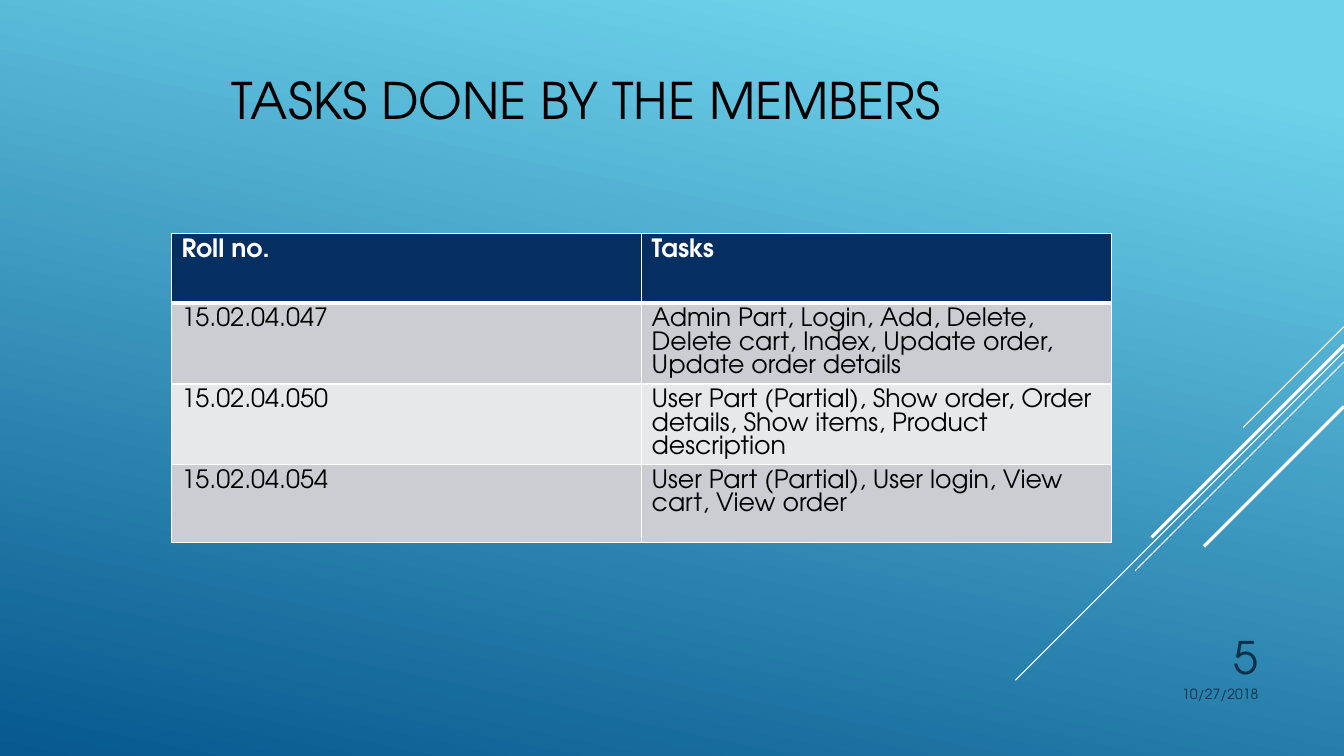
import pptx
import pptx.dml.color
import pptx.enum.shapes
import pptx.enum.text
import pptx.oxml
import pptx.oxml.ns
import pptx.util
import lxml.etree

Cm = pptx.util.Cm
ANCHOR = pptx.enum.text.MSO_ANCHOR
ALIGN = pptx.enum.text.PP_ALIGN

FONT = "TeX Gyre Adventor"
TITLE = "TASKS DONE BY THE MEMBERS"
TASKS = [
    ("Roll no.", "Tasks"),
    ("15.02.04.047", "Admin Part, Login, Add, Delete, Delete cart, Index, Update order, Update order details"),
    ("15.02.04.050", "User Part (Partial), Show order, Order details, Show items, Product description"),
    ("15.02.04.054", "User Part (Partial), User login, View cart, View order"),
]
FOOTERS = [
    ("5", (28.78, 15.49, 3.18, 1.85), 32, ANCHOR.BOTTOM),
    ("10/27/2018", (27.51, 17.15, 4.45, 1.02), 10, ANCHOR.TOP),
]
BACKGROUND = [(0.1, "6ED2EB"), (1, "06588E")]
RIGHT_EDGE = 33.87
DIAGONALS = [
    (8.23, 2.54, 0.75),
    (8.86, 8.28, 0.75),
    (9.12, 5.26, 0.75),
    (8.69, 4.85, 2.25),
    (10.24, 3.53, 2.25),
]
HEADER_FILL, BAND_FILLS = "052F61", ("CCCDD2", "E7E8EA")
ROW_HEIGHTS = (1.75, 1.96, 1.96, 1.96)


def color(value):
    return pptx.dml.color.RGBColor.from_string(value)


def apply(target, formats):
    for name, value in formats.items():
        setattr(target, name, value)


def write(frame, text, size, ink, bold=False, align=ALIGN.LEFT):
    para = frame.paragraphs[0]
    para.alignment = align
    span = para.add_run()
    span.text = text
    apply(span.font, {"name": FONT, "size": pptx.util.Pt(size), "bold": bold})
    span.font.color.rgb = color(ink)


def add_borders(cell, widths):
    properties = cell._tc.get_or_add_tcPr()
    for place, (side, width) in enumerate(widths.items()):
        border = pptx.oxml.parse_xml(
            f'<a:ln{side} {pptx.oxml.ns.nsdecls("a")} w="{pptx.util.Pt(width)}">'
            f'<a:solidFill><a:srgbClr val="FFFFFF"/></a:solidFill></a:ln{side}>'
        )
        properties.insert(place, border)


def add_background(page):
    fill = page.background.fill
    fill.gradient()
    fill.gradient_angle = 258
    for stop, (position, shade) in zip(fill.gradient_stops, BACKGROUND):
        stop.position = position
        stop.color.rgb = color(shade)


def add_diagonals(page):
    for top, reach, width in DIAGONALS:
        line = page.shapes.add_connector(
            pptx.enum.shapes.MSO_CONNECTOR.STRAIGHT,
            Cm(RIGHT_EDGE), Cm(top), Cm(RIGHT_EDGE - reach), Cm(top + reach),
        )
        line.line.color.rgb = color("FFFFFF")
        line.line.width = pptx.util.Pt(width)
        lxml.etree.SubElement(line._element.spPr, pptx.oxml.ns.qn("a:effectLst"))


def add_title(page):
    title = page.shapes.title
    apply(title, {"left": Cm(5.59), "top": Cm(0.41), "width": Cm(23.7), "height": Cm(4.19)})
    apply(title.text_frame, {"vertical_anchor": ANCHOR.MIDDLE, "word_wrap": True})
    write(title.text_frame, TITLE, 36, "000000")


def add_tasks(page):
    table = page.shapes.add_table(
        len(TASKS), 2, Cm(4.32), Cm(5.89), Cm(23.7), Cm(sum(ROW_HEIGHTS))
    ).table
    for row, (height, texts) in enumerate(zip(ROW_HEIGHTS, TASKS)):
        table.rows[row].height = Cm(height)
        header = row == 0
        for column, text in enumerate(texts):
            cell = table.cell(row, column)
            cell.fill.solid()
            cell.fill.fore_color.rgb = color(HEADER_FILL if header else BAND_FILLS[(row - 1) % 2])
            write(cell.text_frame, text, 18, "FFFFFF" if header else "000000", header)
            add_borders(cell, {"L": 1, "R": 1, "T": 3 if row == 1 else 1, "B": 3 if header else 1})


def add_footers(page):
    for text, place, size, anchor in FOOTERS:
        box = page.shapes.add_textbox(*map(Cm, place))
        apply(box.text_frame, {"word_wrap": True, "vertical_anchor": anchor})
        write(box.text_frame, text, size, "0A304A", align=ALIGN.RIGHT)


def main():
    deck = pptx.Presentation()
    apply(deck, {"slide_width": Cm(33.87), "slide_height": Cm(19.05)})
    page = deck.slides.add_slide(deck.slide_layouts[5])
    add_background(page)
    add_diagonals(page)
    add_title(page)
    add_tasks(page)
    add_footers(page)
    deck.save("out.pptx")


if __name__ == "__main__":
    main()
